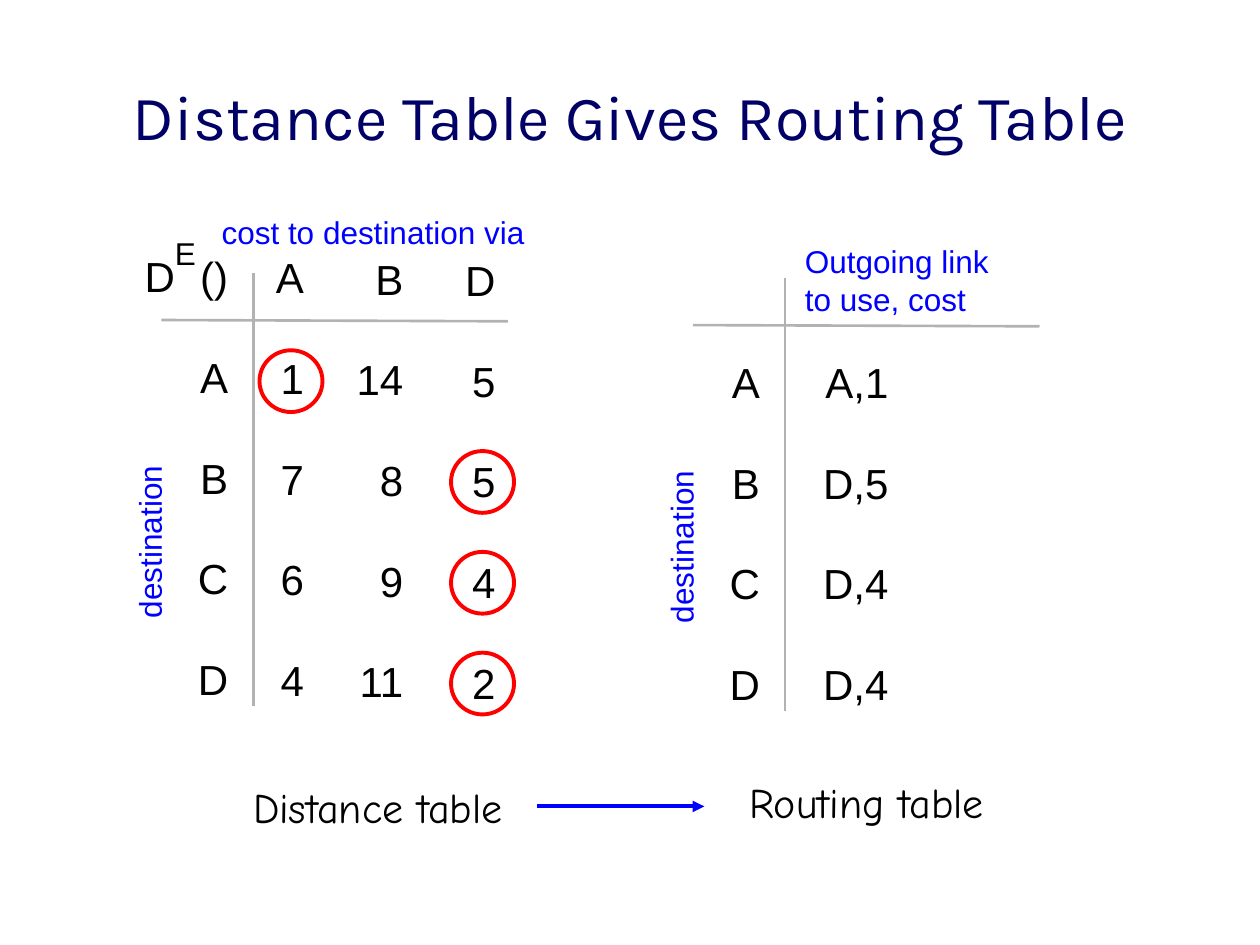
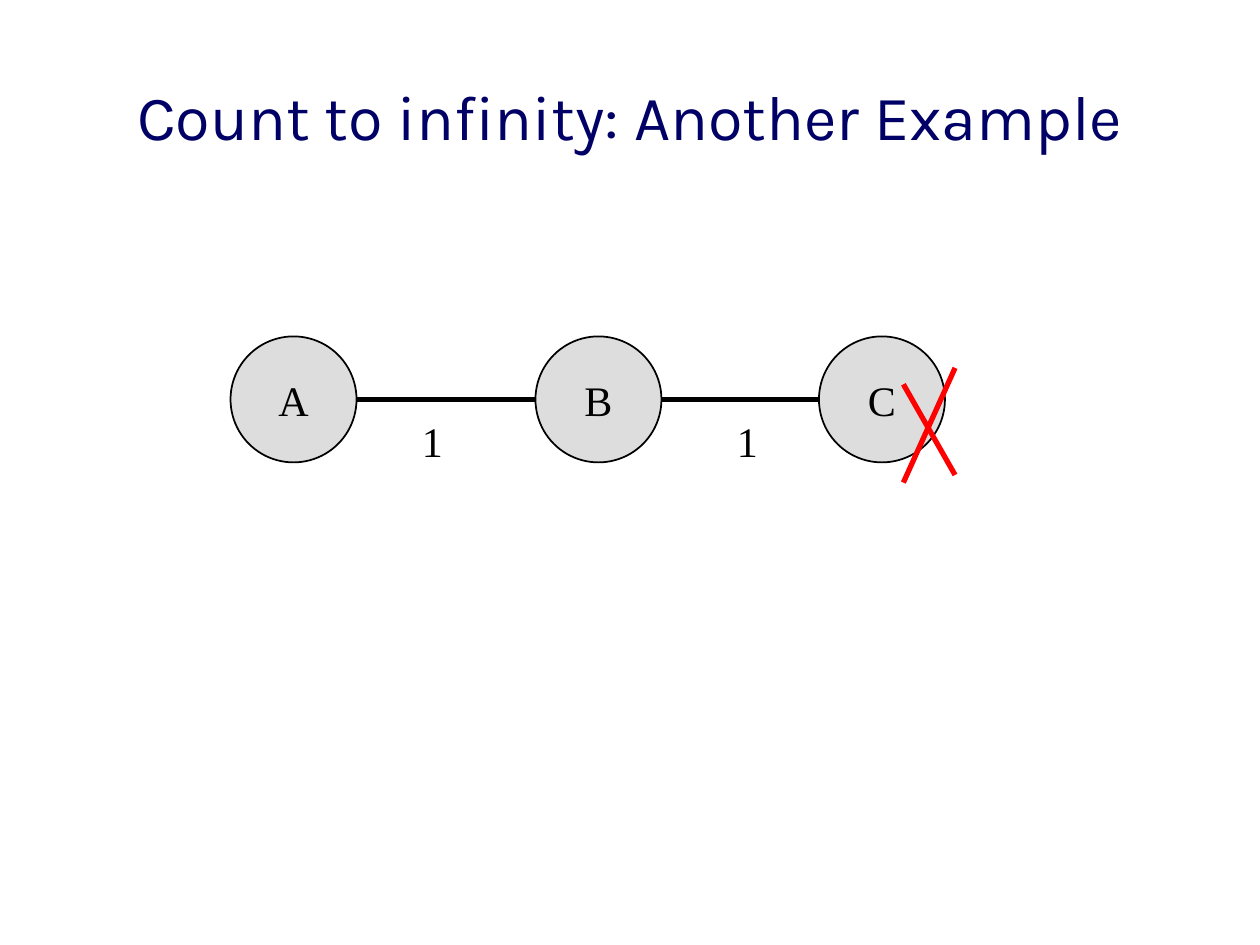
import dataclasses

import lxml.etree
import pptx
import pptx.dml.color
import pptx.enum.shapes
import pptx.enum.text
import pptx.oxml.ns
import pptx.util

Inches = pptx.util.Inches
Pt = pptx.util.Pt
Align = pptx.enum.text.PP_ALIGN
Anchor = pptx.enum.text.MSO_ANCHOR
Fit = pptx.enum.text.MSO_AUTO_SIZE
qn = pptx.oxml.ns.qn


@dataclasses.dataclass(frozen=True)
class Theme:
    navy: str = "000066"
    blue: str = "0000FF"
    red: str = "FF0000"
    black: str = "000000"
    rule: str = "B2B2B2"
    disc: str = "DDDDDD"
    head: str = "Karla"
    sans: str = "Arial"
    hand: str = "Comic Neue"
    serif: str = "Times New Roman"
    title: int = 36
    body: int = 24
    small: int = 18


THEME = Theme()
ROW = 0.8
GAP = 28.75
RING = 0.5
NODE = 1


def rgb(code):
    return pptx.dml.color.RGBColor.from_string(code)


def write(para, text, font, size, color):
    run = para.add_run()
    run.text = text
    run.font.name = font
    run.font.size = Pt(size)
    run.font.color.rgb = rgb(color)


def add_slide(deck, text):
    slide = deck.slides.add_slide(deck.slide_layouts[5])
    title = slide.shapes.title
    title.left, title.top = Inches(0.75), Inches(0.25)
    title.width, title.height = Inches(8.5), Inches(1.33)
    frame = title.text_frame
    frame.auto_size = Fit.NONE
    frame.vertical_anchor = Anchor.MIDDLE
    para = frame.paragraphs[0]
    para.alignment = Align.CENTER
    write(para, text, THEME.head, THEME.title, THEME.navy)
    return slide


def add_text(slide, lines, left, top, width, height=0.5, font=THEME.sans,
             size=THEME.body, color=THEME.black, align=Align.LEFT, gap=0):
    box = slide.shapes.add_textbox(
        Inches(left), Inches(top), Inches(width), Inches(height))
    frame = box.text_frame
    frame.word_wrap = False
    frame.auto_size = Fit.SHAPE_TO_FIT_TEXT
    for i, line in enumerate(lines):
        para = frame.add_paragraph() if i else frame.paragraphs[0]
        para.alignment = align
        if i:
            para.space_before = Pt(gap)
        write(para, line, font, size, color)
    return box


def add_column(slide, cells, left, top, width):
    height = 0.5 + ROW * (len(cells) - 1)
    add_text(slide, cells, left, top, width, height,
             align=Align.RIGHT, gap=GAP)


def add_note(slide, lines, left, top, width, height=0.4):
    return add_text(slide, lines, left, top, width, height,
                    size=THEME.small, color=THEME.blue)


def add_line(slide, start, end, color, width, arrow=False):
    line = slide.shapes.add_connector(
        pptx.enum.shapes.MSO_CONNECTOR.STRAIGHT,
        *(Inches(v) for v in (*start, *end)))
    line.line.color.rgb = rgb(color)
    line.line.width = Pt(width)
    props = line._element.spPr
    if arrow:
        stroke = props.find(qn("a:ln"))
        lxml.etree.SubElement(stroke, qn("a:tailEnd"), type="triangle")
    lxml.etree.SubElement(props, qn("a:effectLst"))


def add_oval(slide, left, top, width, height, color, weight, fill=None):
    oval = slide.shapes.add_shape(
        pptx.enum.shapes.MSO_SHAPE.OVAL,
        Inches(left), Inches(top), Inches(width), Inches(height))
    oval.shadow.inherit = False
    if fill:
        oval.fill.solid()
        oval.fill.fore_color.rgb = rgb(fill)
    else:
        oval.fill.background()
    oval.line.color.rgb = rgb(color)
    oval.line.width = Pt(weight)
    return oval


def add_node(slide, name, left, top):
    node = add_oval(slide, left, top, NODE, NODE, THEME.black, 1, THEME.disc)
    frame = node.text_frame
    frame.word_wrap = False
    frame.vertical_anchor = Anchor.MIDDLE
    para = frame.paragraphs[0]
    para.alignment = Align.CENTER
    write(para, name, THEME.serif, THEME.body, THEME.black)


def add_grid(slide, dx, dy):
    add_column(slide, "ABCD", 1.47 + dx, 2.74 + dy, 0.44)
    add_line(slide, (1.28 + dx, 2.54 + dy), (4.03 + dx, 2.55 + dy),
             THEME.rule, 1.5)
    add_line(slide, (2.01 + dx, 2.17 + dy), (2.01 + dx, 5.6 + dy),
             THEME.rule, 1.5)
    side = add_note(slide, ["destination"], 0.48 + dx, 4.1 + dy, 1.41)
    side.rotation = 270


def add_costs(slide):
    add_grid(slide, 0, 0)
    add_text(slide, ["D"], 1.05, 1.94, 0.46)
    add_text(slide, ["E"], 1.29, 1.81, 0.38, 0.4, size=THEME.small)
    add_text(slide, ["()"], 1.49, 1.94, 0.44)
    add_note(slide, ["cost to destination via"], 1.66, 1.64, 2.75)
    names = "ABD"
    costs = [(1, 14, 5), (7, 8, 5), (6, 9, 4), (4, 11, 2)]
    spots = [(2.09, 0.42), (2.73, 0.57), (3.59, 0.44)]
    for i, (left, width) in enumerate(spots):
        cells = [names[i]] + [str(row[i]) for row in costs]
        add_column(slide, cells, left, 1.95 + 0.01 * i, width)
    for i, row in enumerate(costs):
        left, width = spots[row.index(min(row))]
        add_oval(slide, left + width - 0.45, 2.78 + ROW * i, RING, 0.49,
                 THEME.red, 2.25)


def add_routes(slide):
    add_grid(slide, 4.22, 0.04)
    add_note(slide, ["Outgoing link", "to use, cost"], 6.29, 1.87, 1.8, 0.7)
    add_column(slide, ["A,1", "D,5", "D,4", "D,4"], 6.43, 2.78, 0.72)


def draw_tables(deck):
    slide = add_slide(deck, "Distance Table Gives Routing Table")
    add_costs(slide)
    add_routes(slide)
    add_text(slide, ["Distance table"], 1.91, 6.15, 2.25, font=THEME.hand)
    add_text(slide, ["Routing table"], 5.85, 6.11, 2.15, font=THEME.hand)
    add_line(slide, (4.26, 6.4), (5.59, 6.4), THEME.blue, 2.25, arrow=True)


def draw_chain(deck):
    slide = add_slide(deck, "Count to infinity: Another Example")
    top = 2.67
    mid = top + NODE / 2
    nodes = {"A": 1.83, "B": 4.25, "C": 6.5}
    add_line(slide, (nodes["A"] + NODE, mid), (nodes["C"], mid),
             THEME.black, 3)
    for name, left in nodes.items():
        add_node(slide, name, left, top)
    add_line(slide, (7.58, 2.92), (7.17, 3.83), THEME.red, 3)
    add_line(slide, (7.17, 3.05), (7.58, 3.77), THEME.red, 3)
    for left in (3.25, 5.75):
        add_text(slide, ["1"], left, 3.25, 0.36, font=THEME.serif)


def main():
    deck = pptx.Presentation()
    deck.slide_width, deck.slide_height = Inches(10), Inches(7.5)
    draw_tables(deck)
    draw_chain(deck)
    deck.save("out.pptx")


if __name__ == "__main__":
    main()
